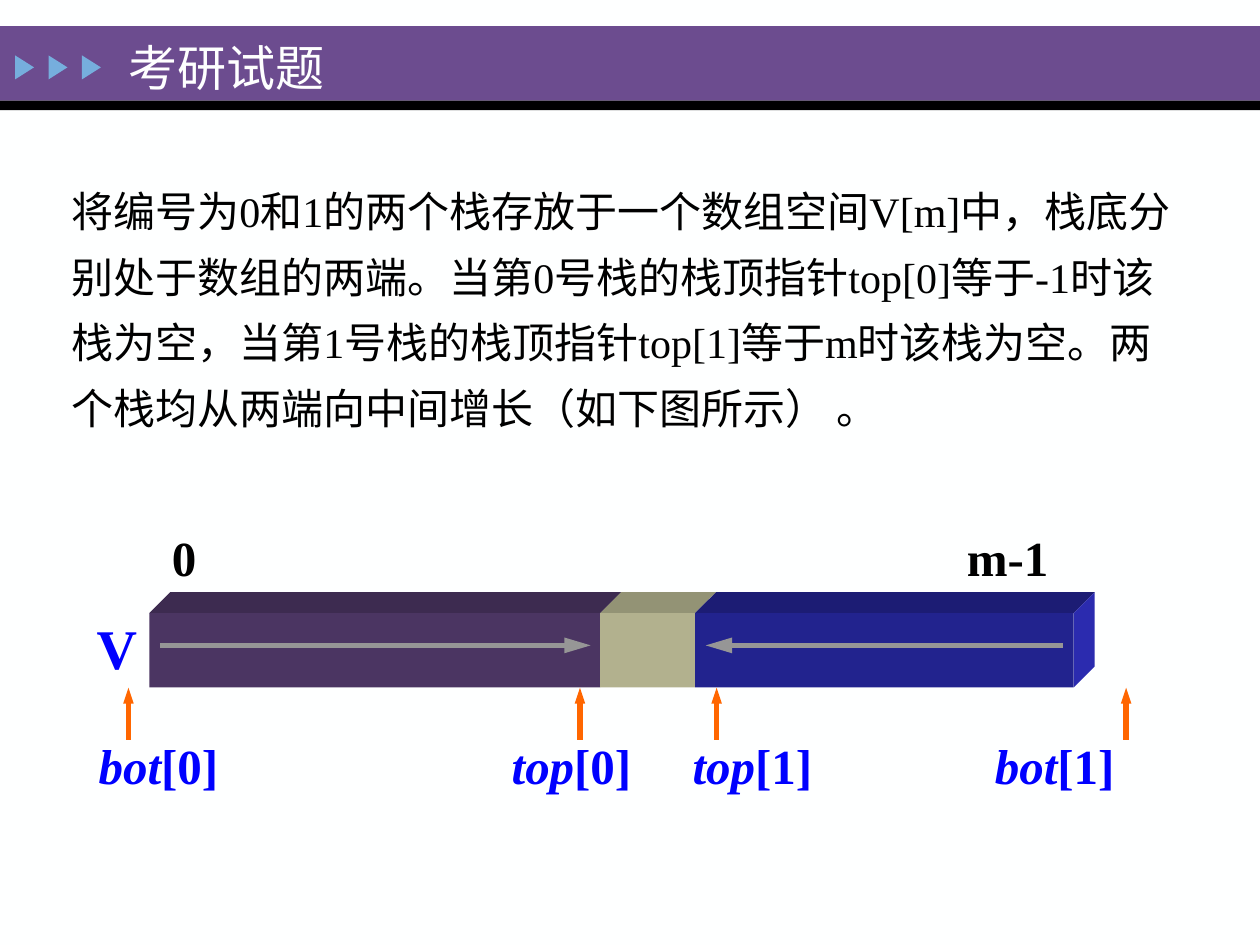
import pptx
import pptx.dml.color
import pptx.enum.shapes
import pptx.enum.text
import pptx.oxml.ns
import pptx.util
from lxml import etree

Pt = pptx.util.Pt
SHAPE = pptx.enum.shapes.MSO_SHAPE
ANCHOR = pptx.enum.text.MSO_ANCHOR
qn = pptx.oxml.ns.qn

FONT = "Times New Roman"
COLORS = {
    "background": "FEFFFF", "band": "6C4C8F", "black": "000000",
    "marker": "76AEDD", "label": "0000FF", "pointer": "FF6600",
    "growth": "969696",
    "stack0": "4B3562", "stack0_top": "3D2B50",
    "free": "B2B18E", "free_top": "939375",
    "stack1": "22238E", "stack1_top": "1C1C74", "stack1_side": "2B2BAF",
}
QUESTION = (
    "将编号为0和1的两个栈存放于一个数组空间V[m]中，栈底分别处于数组的两端。"
    "当第0号栈的栈顶指针top[0]等于-1时该栈为空，当第1号栈的栈顶指针top[1]等于m时该栈为空。"
    "两个栈均从两端向中间增长（如下图所示） 。"
)


def rgb(name):
    return pptx.dml.color.RGBColor.from_string(COLORS[name])


def add_run(p, text, size=28, color="black", bold=False, italic=False):
    r = p.add_run()
    r.text = text
    r.font.name = FONT
    r.font.size = Pt(size)
    r.font.bold = bold
    r.font.italic = italic
    r.font.color.rgb = rgb(color)


class SlideBuilder:
    def __init__(self, slide):
        self.slide = slide
        self.shapes = slide.shapes
        fill = slide.background.fill
        fill.solid()
        fill.fore_color.rgb = rgb("background")

    def paint(self, sp, color):
        sp.shadow.inherit = False
        sp.fill.solid()
        sp.fill.fore_color.rgb = rgb(color)
        sp.line.fill.background()

    def shape(self, x, y, w, h, color, kind=SHAPE.RECTANGLE, rotation=0):
        sp = self.shapes.add_shape(kind, Pt(x), Pt(y), Pt(w), Pt(h))
        sp.rotation = rotation
        self.paint(sp, color)

    def polygon(self, points, color):
        start, *rest = [(Pt(x), Pt(y)) for x, y in points]
        builder = self.shapes.build_freeform(*start)
        builder.add_line_segments(rest, close=True)
        self.paint(builder.convert_to_shape(), color)

    def text(self, x, y, w, h, *parts, wrap=False, anchor=ANCHOR.TOP,
             spacing=None, **style):
        """Each part is a string, or a (string, extra style) pair."""
        box = self.shapes.add_textbox(Pt(x), Pt(y), Pt(w), Pt(h))
        tf = box.text_frame
        tf.word_wrap = wrap
        tf.vertical_anchor = anchor
        p = tf.paragraphs[0]
        if spacing:
            p.line_spacing = spacing
        for part in parts:
            content, extra = (part, {}) if isinstance(part, str) else part
            add_run(p, content, **{**style, **extra})

    def arrow(self, x1, y1, x2, y2, color, head_width, head_length):
        line = self.shapes.add_connector(
            pptx.enum.shapes.MSO_CONNECTOR.STRAIGHT,
            Pt(x1), Pt(y1), Pt(x2), Pt(y2))
        line.line.width = Pt(3)
        line.line.color.rgb = rgb(color)
        etree.SubElement(line.line._get_or_add_ln(), qn("a:tailEnd"),
                         type="triangle", w=head_width, len=head_length)
        etree.SubElement(line._element.spPr, qn("a:effectLst"))


def draw_header(s):
    s.shape(0, 15, 720, 42.5, "band")
    s.shape(0, 57.5, 720, 5.5, "black")
    for i in range(3):
        s.shape(7.2 + 19.1 * i, 33.1, 13.7, 10.8, "marker",
                SHAPE.ISOSCELES_TRIANGLE, rotation=90)
    s.text(66.3, 20.2, 504, 36, "考研试题", wrap=True, anchor=ANCHOR.MIDDLE,
           color="background")


def draw_array(s):
    top, height, depth = 350.4, 42.4, 12
    edges = [85.3, 343, 397.2, 613.6]
    for name, left, right in zip(("stack0", "free", "stack1"), edges, edges[1:]):
        s.polygon([(left, top), (left + depth, top - depth),
                   (right + depth, top - depth), (right, top)], name + "_top")
        s.shape(left, top, right - left, height, name)
    end, bottom = edges[-1], top + height
    s.polygon([(end, top), (end + depth, top - depth),
               (end + depth, bottom - depth), (end, bottom)], "stack1_side")
    for start, tip in ((91.4, 337.5), (607.5, 403.3)):
        s.arrow(start, 368.8, tip, 368.8, "growth", "med", "lg")


def draw_labels(s):
    for x, w, index in ((91.2, 28, "0"), (545.4, 62, "m-1")):
        s.text(x, 298, w, 41, index, bold=True)
    s.text(48.2, 347, 37.4, 45.4, "V", size=32, color="label", bold=True)
    pointers = (("bot", "[0]", 49.3, 73.4), ("top", "[0]", 285.3, 331.4),
                ("top", "[1]", 388.7, 409.5), ("bot", "[1]", 561.4, 643.5))
    for name, index, x, tip_x in pointers:
        s.arrow(tip_x, 422.8, tip_x, 393, "pointer", "sm", "med")
        s.text(x, 417, 84, 41, (name, {"italic": True}), index,
               color="label", bold=True)


def main():
    prs = pptx.Presentation()
    prs.slide_width, prs.slide_height = Pt(720), Pt(540)
    s = SlideBuilder(prs.slides.add_slide(prs.slide_layouts[6]))
    draw_header(s)
    s.text(33.8, 95, 643.7, 154.8, QUESTION, wrap=True,
           anchor=ANCHOR.MIDDLE, spacing=1.3, size=24)
    draw_array(s)
    draw_labels(s)
    prs.save("out.pptx")


if __name__ == "__main__":
    main()
